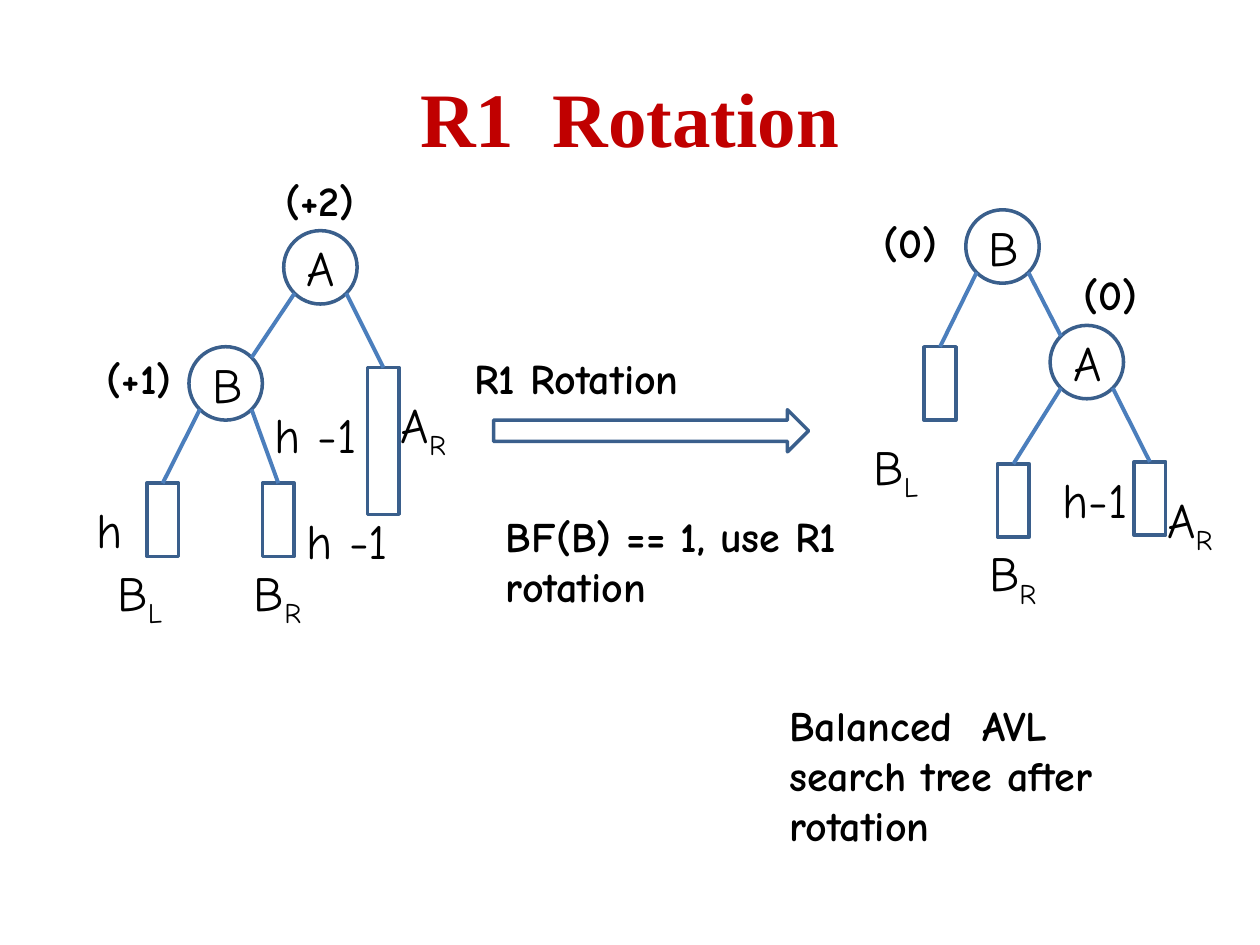
from lxml import etree
from pptx import Presentation
from pptx.dml.color import RGBColor
from pptx.enum.shapes import MSO_CONNECTOR, MSO_SHAPE
from pptx.enum.text import MSO_ANCHOR, MSO_AUTO_SIZE, PP_ALIGN
from pptx.oxml.ns import qn
from pptx.util import Cm, Pt

STRAIGHT = MSO_CONNECTOR.STRAIGHT
OVAL, BOX, ARROW = MSO_SHAPE.OVAL, MSO_SHAPE.RECTANGLE, MSO_SHAPE.RIGHT_ARROW
MIDDLE = MSO_ANCHOR.MIDDLE
GROW = MSO_AUTO_SIZE.SHAPE_TO_FIT_TEXT
CENTER = PP_ALIGN.CENTER

COLORS = {"title": "C00000", "text": "000000", "outline": "3A5F8C", "branch": "4B7EBC"}
TITLE_FONT, BODY_FONT = "Times New Roman", "Comic Neue"

# All lengths in cm
NODE = 1.48            # node diameter
INSET = 0.22           # where branches meet a node, from its bounding box
SUBTREE_W, SUBTREE_H = 0.64, 1.48
LARGE, SMALL = 28, 24  # point sizes of tree labels and of bold remarks


def color(name):
    return RGBColor.from_string(COLORS[name])


def set_font(paragraph, size, name=BODY_FONT, bold=False, tint="text"):
    font = paragraph.font
    font.name, font.size, font.bold = name, Pt(size), bold
    font.color.rgb = color(tint)


def add_outline(shapes, kind, x, y, width, height):
    outline = shapes.add_shape(kind, Cm(x), Cm(y), Cm(width), Cm(height))
    outline.shadow.inherit = False
    outline.fill.background()
    outline.line.color.rgb = color("outline")
    outline.line.width = Pt(2)
    return outline


def add_node(shapes, letter, x, y):
    frame = add_outline(shapes, OVAL, x, y, NODE, NODE).text_frame
    frame.vertical_anchor = MIDDLE
    paragraph = frame.paragraphs[0]
    paragraph.text = letter
    paragraph.alignment = CENTER
    set_font(paragraph, LARGE)


def add_branch(shapes, start, end):
    branch = shapes.add_connector(STRAIGHT, *map(Cm, start + end))
    branch.line.color.rgb = color("branch")
    branch.line.width = Pt(2.25)
    etree.SubElement(branch._element.spPr, qn("a:effectLst"))


def add_label(shapes, text, x, y, width, height=1.45, subscript="", remark=False):
    frame = shapes.add_textbox(Cm(x), Cm(y), Cm(width), Cm(height)).text_frame
    frame.word_wrap = True
    frame.auto_size = GROW
    paragraph = frame.paragraphs[0]
    paragraph.add_run().text = text
    if subscript:
        run = paragraph.add_run()
        run.text = subscript
        run._r.get_or_add_rPr().set("baseline", "-25000")
    set_font(paragraph, SMALL if remark else LARGE, bold=remark)


def add_remark(shapes, text, x, y, width, height=1.27):
    add_label(shapes, text, x, y, width, height, remark=True)


def add_tree(slide, nodes, subtrees, edges, names, heights, balances):
    """Nodes and subtrees map a name to its top-left corner."""
    shapes = slide.shapes.add_group_shape().shapes
    for letter, corner in nodes.items():
        add_node(shapes, letter, *corner)
    for x, y, height in subtrees.values():
        add_outline(shapes, BOX, x, y, SUBTREE_W, height)

    # Branches leave a node at its lower side and reach the child at its top
    for parent, child, side in edges:
        x, y = nodes[parent]
        offsets = {"left": INSET, "right": NODE - INSET}
        start = (x + offsets[side], y + NODE - INSET)
        if child in nodes:
            x, y = nodes[child]
            facing = offsets["right" if side == "left" else "left"]
            end = (x + facing, y + INSET)
        else:
            x, y, _ = subtrees[child]
            end = (x + SUBTREE_W / 2, y)
        add_branch(shapes, start, end)

    # Subtree names, subtree heights and balance factors
    for name, (x, y) in names.items():
        add_label(shapes, name[0], x, y, 2.12, subscript=name[1])
    for height_label in heights:
        add_label(shapes, *height_label)
    for balance in balances:
        add_remark(shapes, *balance)


def add_title(slide, text):
    title = slide.shapes.title
    title.left, title.top, title.width, title.height = map(Cm, (1.27, 0.76, 22.86, 3.18))
    frame = title.text_frame
    frame.vertical_anchor = MIDDLE
    paragraph = frame.paragraphs[0]
    paragraph.text = text
    paragraph.alignment = CENTER
    set_font(paragraph, 44, TITLE_FONT, True, "title")


def main():
    prs = Presentation()
    prs.slide_width, prs.slide_height = Cm(25.4), Cm(19.05)
    slide = prs.slides.add_slide(prs.slide_layouts[5])
    shapes = slide.shapes
    add_title(slide, "R1  Rotation")

    # Rotation arrow and result
    add_outline(shapes, ARROW, 9.95, 8.26, 6.35, 0.85)
    add_remark(shapes, "R1 Rotation", 9.31, 6.99, 5.5)
    add_remark(shapes, "Balanced  AVL search tree after rotation", 15.66, 13.97, 8.04, 3.33)

    # Unbalanced tree
    add_tree(
        slide,
        nodes={"A": (5.72, 4.65), "B": (3.81, 6.99)},
        subtrees={"AR": (7.41, 7.41, 2 * SUBTREE_H), "BR": (5.29, 9.74, SUBTREE_H),
                  "BL": (2.96, 9.74, SUBTREE_H)},
        edges=[("A", "B", "left"), ("B", "BL", "left"),
               ("B", "BR", "right"), ("A", "AR", "right")],
        names={"AR": (7.83, 7.83), "BL": (2.12, 11.22), "BR": (4.87, 11.22)},
        heights=[("h -1", 5.93, 10.16, 3.18)],
        balances=[("(+1)", 1.9, 6.99, 2.33), ("(+2)", 5.5, 3.39, 3.18)],
    )

    # Balanced tree
    add_tree(
        slide,
        nodes={"A": (21.17, 6.56), "B": (19.47, 4.23)},
        subtrees={"AR": (22.86, 9.31, SUBTREE_H), "BR": (20.11, 9.35, SUBTREE_H),
                  "BL": (18.63, 6.99, SUBTREE_H)},
        edges=[("A", "AR", "right"), ("B", "BL", "left"),
               ("B", "A", "right"), ("A", "BR", "left")],
        names={"AR": (23.28, 9.74), "BR": (19.69, 10.82), "BL": (17.36, 8.68)},
        heights=[("h-1", 21.17, 9.35, 2.33)],
        balances=[("(0)", 21.59, 5.29, 2.75), ("(0)", 17.57, 4.23, 2.33)],
    )

    # Rule and remaining heights
    add_remark(shapes, "BF(B) == 1, use R1 rotation", 9.95, 10.16, 7.41, 2.31)
    add_label(shapes, "h", 1.69, 9.95, 0.85)
    add_label(shapes, "h -1", 5.29, 8.04, 3.18)

    prs.save("out.pptx")


if __name__ == "__main__":
    main()
